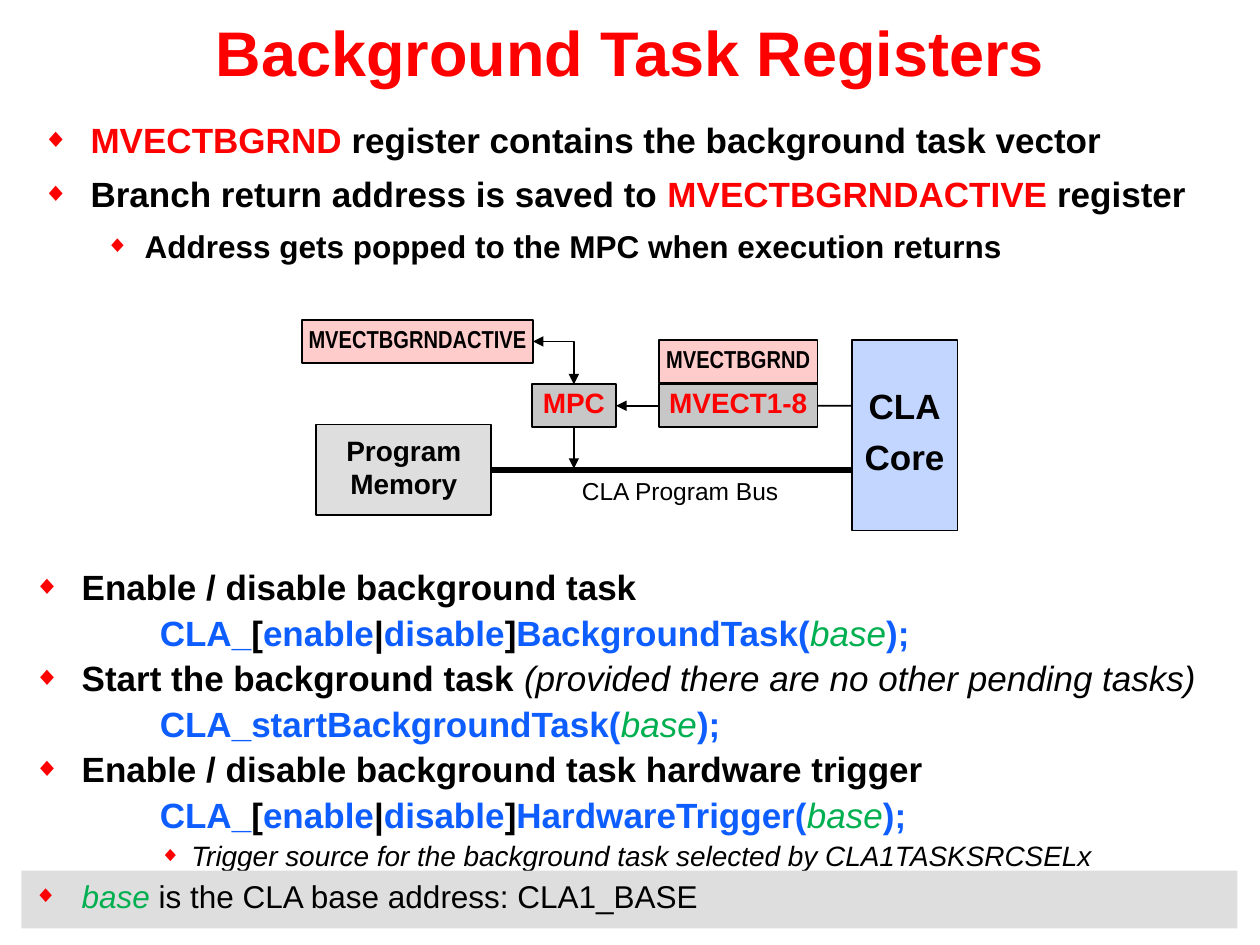
from pptx import Presentation
from pptx.dml.color import RGBColor
from pptx.enum.shapes import MSO_CONNECTOR as Connector, MSO_SHAPE as Shape
from pptx.enum.text import MSO_ANCHOR as Anchor, PP_ALIGN as Align
from pptx.oxml.ns import qn
from pptx.oxml.xmlchemy import OxmlElement
from pptx.util import Inches, Pt

WIDTH, HEIGHT = Inches(10), Inches(7.5)
RED, BLACK, BLUE, GREEN = "FF0000", "000000", "0D5DFF", "00B050"
PALE_GRAY, GRAY, PINK, LIGHT_BLUE = "DEDEDE", "C7C7C7", "FFCCCC", "C2D6FF"
TOP, LEFT, BOTTOM, RIGHT = range(4)
REGISTER_HEIGHT = 4.53
BASE = ("base", dict(color=GREEN, bold=False, italic=True))


def rgb(value):
    return RGBColor.from_string(value)


def across(share):
    return round(WIDTH * share / 100)


def down(share):
    return round(HEIGHT * share / 100)


def place(left, top, width, height):
    return across(left), down(top), across(width), down(height)


def add_element(parent, tag, **attributes):
    element = OxmlElement(tag)
    for name, value in attributes.items():
        element.set(name, str(value))
    parent.append(element)
    return element


def add_bullet(paragraph, margin, hanging):
    properties = paragraph._p.get_or_add_pPr()
    properties.set("marL", str(Inches(margin)))
    properties.set("indent", str(-Inches(hanging)))
    color = add_element(properties, "a:buClr")
    add_element(color, "a:srgbClr", val=RED)
    add_element(properties, "a:buSzPct", val=75000)
    add_element(properties, "a:buFont", typeface="Arial")
    add_element(properties, "a:buChar", char="◆")


def add_tab_stop(paragraph, position):
    stops = add_element(paragraph._p.get_or_add_pPr(), "a:tabLst")
    add_element(stops, "a:tab", pos=Inches(position), algn="l")


def write(paragraph, text, size=20, font="Arial", color=BLACK, bold=True, italic=False,
          align=Align.LEFT, spacing=None, before=None, after=None, level=0,
          bullet=None, tab=None):
    paragraph.level = level
    paragraph.alignment = align
    paragraph.line_spacing = spacing
    if before is not None:
        paragraph.space_before = Pt(before)
    if after is not None:
        paragraph.space_after = Pt(after)
    if bullet:
        add_bullet(paragraph, *bullet)
    if tab:
        add_tab_stop(paragraph, tab)
    for content, changes in [(text, {})] if isinstance(text, str) else text:
        style = dict(color=color, bold=bold, italic=italic) | changes
        run = paragraph.add_run()
        run.text = content
        run.font.name, run.font.size = font, Pt(size)
        run.font.bold, run.font.italic = style["bold"], style["italic"]
        run.font.color.rgb = rgb(style["color"])


def add_paragraph(frame, first):
    return frame.paragraphs[0] if first else frame.add_paragraph()


def add_list(slide, area, items):
    frame = slide.shapes.add_textbox(*place(*area)).text_frame
    frame.word_wrap = True
    for index, (text, options) in enumerate(items):
        if index == 0:
            options = options | dict(before=0)
        write(add_paragraph(frame, index == 0), text, **options)


def add_box(slide, area, fill, line=BLACK):
    shape = slide.shapes.add_shape(Shape.RECTANGLE, *place(*area))
    shape.shadow.inherit = False
    shape.fill.solid()
    shape.fill.fore_color.rgb = rgb(fill)
    if line:
        shape.line.color.rgb = rgb(line)
        shape.line.width = Pt(1)
    else:
        shape.line.fill.background()
    return shape


def add_block(slide, area, fill, lines, gap=0, **options):
    shape = add_box(slide, area, fill)
    frame = shape.text_frame
    frame.word_wrap = False
    frame.vertical_anchor = Anchor.MIDDLE
    for index, line in enumerate(lines):
        write(add_paragraph(frame, index == 0), line, align=Align.CENTER, spacing=0.8,
              before=gap if index else 0, **options)
    return shape


def add_line(slide, start, end, width=1, head=False, tail=False, bent=False):
    kind = Connector.ELBOW if bent else Connector.STRAIGHT
    begin_x, begin_y = (0, 0) if len(start) == 2 and not isinstance(start[0], float) else (
        across(start[0]), down(start[1]))
    end_x, end_y = (across(end[0]), down(end[1])) if isinstance(end[0], float) else (0, 0)
    line = slide.shapes.add_connector(kind, begin_x, begin_y, end_x, end_y)
    if not isinstance(start[0], float):
        line.begin_connect(*start)
    if not isinstance(end[0], float):
        line.end_connect(*end)
    if bent:
        line._element.spPr.find(qn("a:prstGeom")).set("prst", "bentConnector2")
    line.line.color.rgb = rgb(BLACK)
    line.line.width = Pt(width)
    outline = line.line._get_or_add_ln()
    if head:
        add_element(outline, "a:headEnd", type="triangle")
    if tail:
        add_element(outline, "a:tailEnd", type="triangle")
    add_element(line._element.spPr, "a:effectLst")


def add_title(slide, text):
    title = slide.shapes.title
    title.left, title.top, title.width, title.height = place(0, 0, 100, 10.8)
    title.text_frame.vertical_anchor = Anchor.MIDDLE
    write(title.text_frame.paragraphs[0], text, size=36, color=RED, align=Align.CENTER)


def add_diagram(slide):
    caption = slide.shapes.add_textbox(*place(45.2, 50.27, 17.7, 3.87)).text_frame
    caption.word_wrap = False
    write(caption.paragraphs[0], "CLA Program Bus", size=14, bold=False, spacing=0.8)

    memory = add_block(slide, (25.1, 44.93, 13.9, 9.6), PALE_GRAY,
                       ["Program", "Memory"], size=16, gap=4)
    add_line(slide, (memory, RIGHT), (67.9, 49.73), width=3)
    counter, vectors = [
        add_block(slide, (left, 40.67, width, REGISTER_HEIGHT), GRAY, [name], size=16, color=RED)
        for name, left, width in (("MPC", 42.2, 6.7), ("MVECT1-8", 52.3, 12.6))]
    background, active = [
        add_block(slide, (left, top, width, REGISTER_HEIGHT), PINK, [name],
                  size=14, font="Arial Narrow")
        for name, left, top, width in (("MVECTBGRND", 52.3, 36, 12.6),
                                       ("MVECTBGRNDACTIVE", 24, 33.87, 18.3))]
    add_line(slide, (vectors, LEFT), (counter, RIGHT), tail=True)
    add_line(slide, (vectors, RIGHT), (67.9, 42.93))
    add_line(slide, (counter, BOTTOM), (45.55, 49.6), tail=True)
    add_line(slide, (active, RIGHT), (counter, TOP), head=True, tail=True, bent=True)
    add_block(slide, (67.6, 36, 8.4, 20.13), LIGHT_BLUE, ["CLA", "Core"], gap=10)


def toggle_call(name):
    black = dict(color=BLACK)
    return [("\tCLA_", {}), ("[", black), ("enable", {}), ("|", black), ("disable", {}),
            ("]", black), (f"{name}(", {}), BASE, (");", {})]


def main():
    presentation = Presentation()
    presentation.slide_width, presentation.slide_height = WIDTH, HEIGHT
    slide = presentation.slides.add_slide(presentation.slide_layouts[5])
    add_title(slide, "Background Task Registers")

    red = dict(color=RED)
    point = dict(bullet=(0.38, 0.38), before=7)
    add_list(slide, (2.4, 11.87, 95.1, 16.8), [
        ([("MVECTBGRND", red), (" register contains the background task vector", {})], point),
        ([("Branch return address is saved to ", {}), ("MVECTBGRNDACTIVE", red),
          (" register", {})], point),
        ("Address gets popped to the MPC when execution returns",
         dict(bullet=(0.81, 0.31), before=7, size=18, level=1))])

    add_diagram(slide)

    step = dict(bullet=(0.38, 0.38), after=2)
    code = dict(tab=1, color=BLUE, after=2)
    add_list(slide, (1.7, 59.2, 96.6, 32.93), [
        ("Enable / disable background task", step),
        (toggle_call("BackgroundTask"), code),
        ([("Start the background task ", {}),
          ("(provided there are no other pending tasks)", dict(bold=False, italic=True))], step),
        ([("\tCLA_startBackgroundTask(", {}), BASE, (");", {})], code),
        ("Enable / disable background task hardware trigger", step),
        (toggle_call("HardwareTrigger"), code),
        ("Trigger source for the background task selected by CLA1TASKSRCSELx",
         dict(bullet=(1.25, 0.25), after=2, size=16, bold=False, italic=True, level=2))])

    footer = add_box(slide, (1.7, 92.13, 96.5, 6.13), PALE_GRAY, line=None)
    footer.text_frame.vertical_anchor = Anchor.TOP
    write(footer.text_frame.paragraphs[0],
          [BASE, (" is the CLA base address: CLA1_BASE", {})],
          size=18, bold=False, bullet=(0.38, 0.38), level=2)
    presentation.save("out.pptx")


if __name__ == "__main__":
    main()
